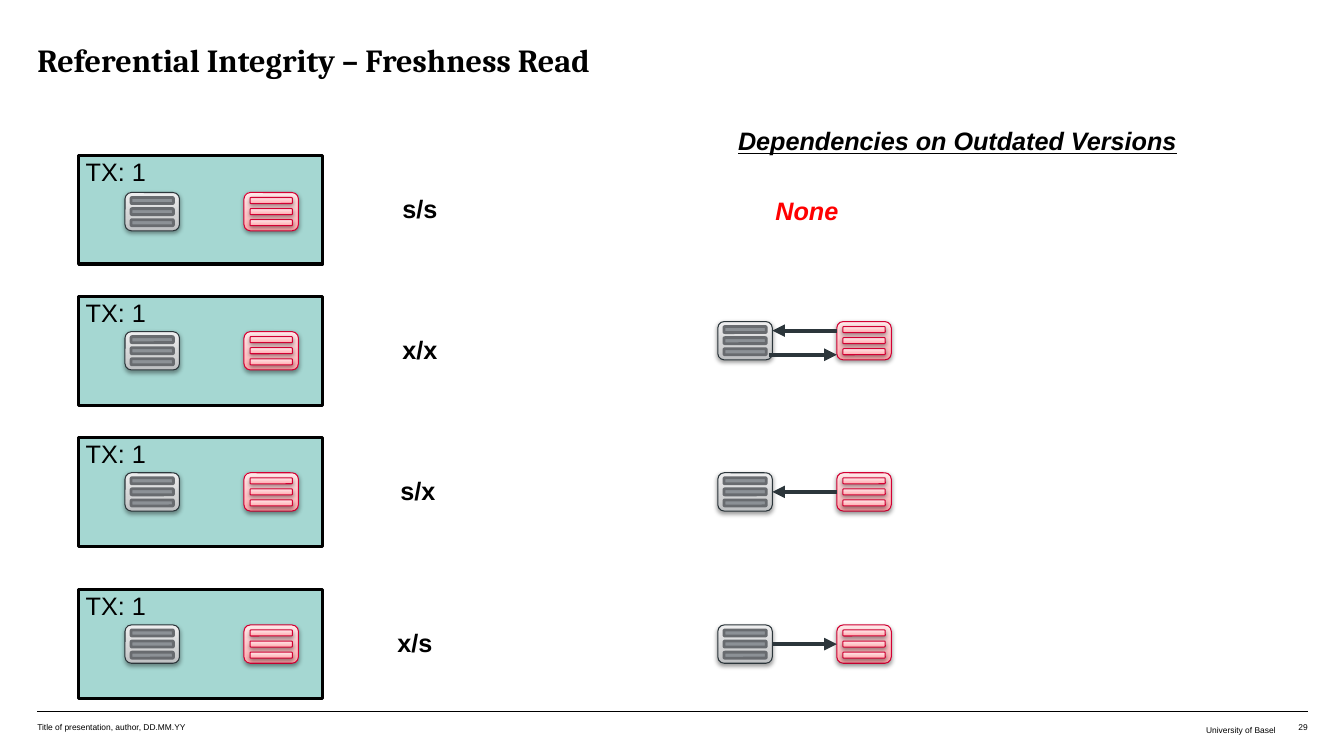
from lxml import etree
from pptx import Presentation
from pptx.dml.color import RGBColor
from pptx.enum.shapes import MSO_CONNECTOR as Connector, MSO_SHAPE as Shape
from pptx.enum.text import MSO_ANCHOR as Anchor, PP_ALIGN as Align
from pptx.oxml import parse_xml
from pptx.oxml.ns import nsdecls, qn
from pptx.util import Pt

PX = 9144  # 100 px to the inch
color = RGBColor.from_string
BLACK, DARK, RED = "000000", "2C363B", "D20033"
GREY_BLEND = ("BDBFC1", "D1D2D3", "EEEEEF")
PINK_BLEND = ("FFA8AC", "FFC1C4", "FFE8E9")
# blend, outline, outline width, shadow
GREY_CARD = (GREY_BLEND, DARK, 0.75, True)
GREY_BAR = (None, "686B6F", 2, False)
PINK = (PINK_BLEND, RED, 0.75, True)

deck = Presentation()
deck.slide_width, deck.slide_height = 1333 * PX, 750 * PX
page = deck.slides.add_slide(deck.slide_layouts[5])


def write(box, text, size, insets=(0, 0, 0, 0), spacing=None, align=Align.LEFT,
          wrap=False, font="Arial", ink=BLACK, bold=False, italic=False, underline=False):
    frame = box.text_frame
    frame.word_wrap = wrap
    frame.vertical_anchor = Anchor.TOP
    (frame.margin_left, frame.margin_top,
     frame.margin_right, frame.margin_bottom) = [inset * PX for inset in insets]
    para = frame.paragraphs[0]
    para.alignment = align
    if spacing:
        para.line_spacing = Pt(spacing)
    span = para.add_run()
    span.text = text
    span.font.name, span.font.size = font, Pt(size)
    span.font.bold, span.font.italic, span.font.underline = bold, italic, underline
    span.font.color.rgb = color(ink)


def add_record(left, top, card_look, bar_look):
    group = page.shapes.add_group_shape()
    parts = [(0, 0, 54, 38, card_look)]
    parts += [(6, 5 + 11 * row, 42, 6, bar_look) for row in range(3)]
    for dx, dy, width, height, (blend, outline, weight, shadow) in parts:
        part = group.shapes.add_shape(Shape.ROUNDED_RECTANGLE, (left + dx) * PX,
                                      (top + dy) * PX, width * PX, height * PX)
        part.fill.solid()
        part.fill.fore_color.rgb = color("8C9196")
        part.line.color.rgb, part.line.width = color(outline), Pt(weight)
        part.shadow.inherit = False
        properties = part.element.spPr
        if blend:
            stops = "".join(f'<a:gs pos="{pos}"><a:srgbClr val="{shade}"/></a:gs>'
                            for pos, shade in zip((0, 35000, 100000), blend))
            properties.replace(properties.find(qn("a:solidFill")), parse_xml(
                f'<a:gradFill {nsdecls("a")} rotWithShape="1"><a:gsLst>{stops}</a:gsLst>'
                '<a:lin ang="16200000" scaled="0"/></a:gradFill>'))
        if shadow:
            properties.find(qn("a:effectLst")).append(parse_xml(
                f'<a:outerShdw {nsdecls("a")} blurRad="40000" dist="20000" dir="5400000" '
                'rotWithShape="0"><a:srgbClr val="000000"><a:alpha val="38000"/>'
                '</a:srgbClr></a:outerShdw>'))


# Title
title = page.shapes.title
title.left, title.top, title.width, title.height = 37 * PX, 44 * PX, 1260 * PX, 83 * PX
write(title, "Referential Integrity – Freshness Read", 23, spacing=25, wrap=True,
      font="Cambria", bold=True)

# Footer
for left, width, text, insets, align in [
    (37, 315, "Title of presentation, author, DD.MM.YY", (0, 2, 0, 0), Align.LEFT),
    (997, 278, "University of Basel", (10, 5, 10, 5), Align.RIGHT),
    (1276, 21, "29", (0, 2, 0, 0), Align.RIGHT),
]:
    footer = page.shapes.add_textbox(left * PX, 714 * PX, width * PX, 20 * PX)
    write(footer, text, 6, insets, align=align, wrap=True)

# Transactions: frame top, record top, lock label and its left edge
for frame_top, record_top, lock, lock_left in [
    (154, 191, "s/s", 399), (294, 329, "x/x", 399),
    (434, 469, "s/x", 397), (585, 620, "x/s", 394),
]:
    transaction = page.shapes.add_shape(Shape.RECTANGLE, 78 * PX, frame_top * PX,
                                        242 * PX, 108 * PX)
    transaction.fill.solid()
    transaction.fill.fore_color.rgb = color("A5D7D2")
    transaction.line.color.rgb, transaction.line.width = color(BLACK), Pt(2.25)
    transaction.shadow.inherit = False
    write(transaction, "TX: 1", 18, (7, 0, 0, 0), spacing=22)
    add_record(124, record_top, GREY_CARD, GREY_BAR)
    add_record(242, record_top, PINK, PINK)
    label = page.shapes.add_textbox(lock_left * PX, (frame_top + 37) * PX, 35 * PX, 34 * PX)
    write(label, lock, 18, spacing=22, bold=True)

# Dependencies
heading = page.shapes.add_textbox(732 * PX, 124 * PX, 436 * PX, 34 * PX)
write(heading, "Dependencies on Outdated Versions", 18, spacing=22,
      bold=True, italic=True, underline=True)
none = page.shapes.add_textbox(769 * PX, 193 * PX, 64 * PX, 34 * PX)
write(none, "None", 18, spacing=22, ink="FF0000", bold=True, italic=True)
for record_top in (319, 469, 620):
    add_record(712, record_top, GREY_CARD, GREY_BAR)
    add_record(830, record_top, PINK, PINK)

# Footer rule and dependency arrows
for start, end, y, ink, weight, arrow in [
    (37, 1297, 706, BLACK, 0.25, False),
    (830, 766, 328, DARK, 3, True),
    (763, 830, 352, DARK, 3, True),
    (830, 766, 488, DARK, 3, True),
    (766, 830, 639, DARK, 3, True),
]:
    line = page.shapes.add_connector(Connector.STRAIGHT, start * PX, y * PX, end * PX, y * PX)
    line.line.color.rgb, line.line.width = color(ink), Pt(weight)
    properties = line.element.spPr
    etree.SubElement(properties, qn("a:effectLst"))
    if arrow:
        etree.SubElement(properties.find(qn("a:ln")), qn("a:tailEnd"), type="triangle")

deck.save("out.pptx")
